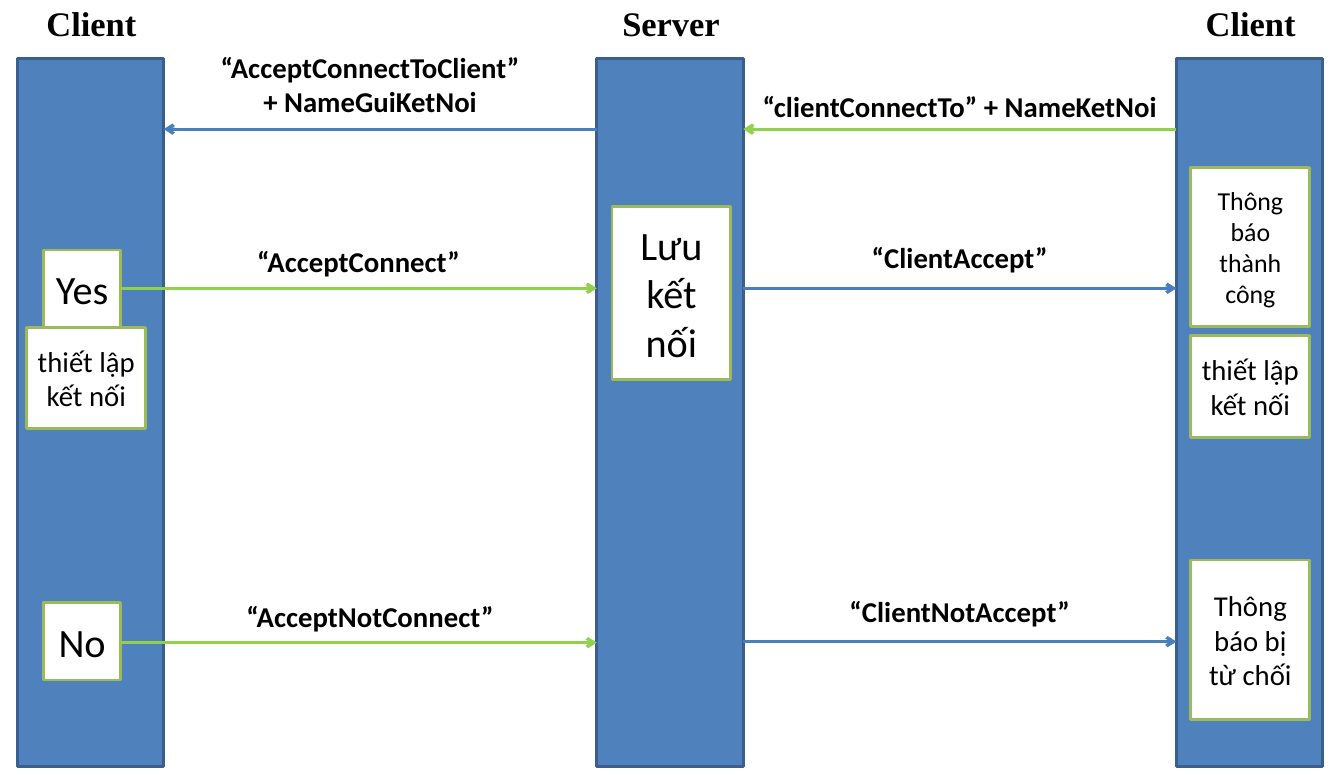
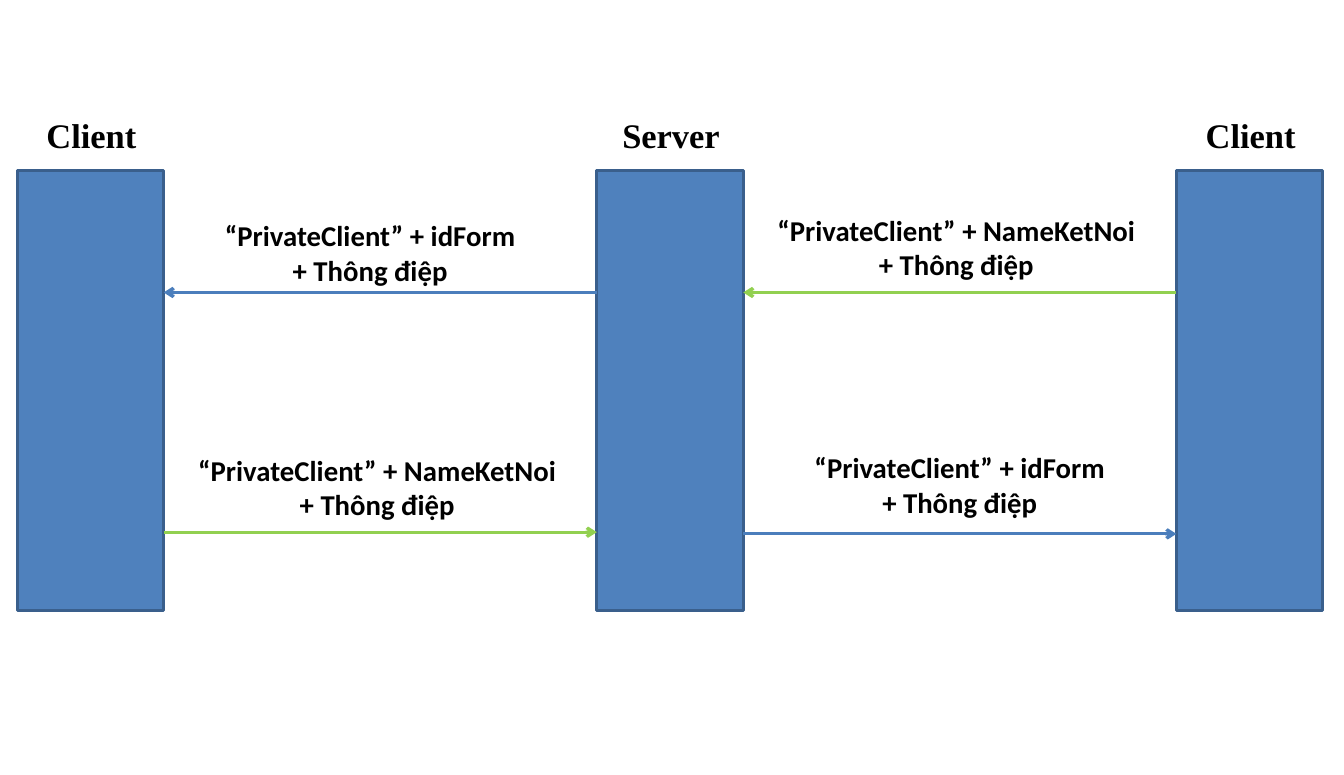
from dataclasses import dataclass

from lxml import etree
from pptx import Presentation
from pptx.dml.color import RGBColor
from pptx.enum import shapes, text
from pptx.oxml import ns
from pptx.util import Pt


@dataclass(frozen=True)
class Theme:
    lane: str = "4F81BD"
    lane_edge: str = "3A5F8C"
    note: str = "FFFFFF"
    note_edge: str = "9BBB59"
    request: str = "92D050"
    relay: str = "4B7EBC"
    ink: str = "000000"
    body_font: str = "Calibri"
    heading_font: str = "Times New Roman"
    heading: int = 24
    label: int = 20
    small: int = 18
    choice: int = 28
    edge: float = 2
    arrow: float = 2.25


THEME = Theme()
LANE_WIDTH = 102
LANE_LEFTS = [12 + 403.65 * lane for lane in range(3)]
LANE_RIGHTS = [left + LANE_WIDTH for left in LANE_LEFTS]
LEFT_CLIENT, SERVER, RIGHT_CLIENT = range(3)
LABEL_WIDTH = 227.5
NOTE_WIDTH = 82.8
CHOICE_SIZE = 54
CHOICE_LEFT = 30.2
LEFT_GAP = 257.8
RIGHT_GAP = 668.4


class SequenceDeck:
    def __init__(self, theme):
        self.theme = theme
        self.deck = Presentation()
        self.deck.slide_width, self.deck.slide_height = Pt(936), Pt(540)
        self.slide = None

    def new_slide(self, lane_top, lane_height):
        self.slide = self.deck.slides.add_slide(self.deck.slide_layouts[6])
        t = self.theme
        for heading, left in zip(("Client", "Server", "Client"), LANE_LEFTS):
            self.block(left, lane_top, LANE_WIDTH, lane_height, t.lane, t.lane_edge)
            self.caption([heading], left + LANE_WIDTH / 2 + 0.7, lane_top - 43.3,
                         LANE_WIDTH, 36, t.heading_font, t.heading)

    def block(self, left, top, width, height, fill, edge):
        shape = self.slide.shapes.add_shape(
            shapes.MSO_SHAPE.RECTANGLE, Pt(left), Pt(top), Pt(width), Pt(height))
        shape.shadow.inherit = False
        shape.fill.solid()
        shape.fill.fore_color.rgb = RGBColor.from_string(fill)
        shape.line.color.rgb = RGBColor.from_string(edge)
        shape.line.width = Pt(self.theme.edge)
        return shape

    def add_lines(self, frame, lines, font, size, bold):
        for index, line in enumerate(lines):
            paragraph = frame.add_paragraph() if index else frame.paragraphs[0]
            paragraph.alignment = text.PP_ALIGN.CENTER
            run = paragraph.add_run()
            run.text = line
            run.font.name = font
            run.font.size = Pt(size)
            run.font.bold = bold
            run.font.color.rgb = RGBColor.from_string(self.theme.ink)

    def note(self, wording, left, top, height, size, width=NOTE_WIDTH):
        t = self.theme
        frame = self.block(left, top, width, height, t.note, t.note_edge).text_frame
        frame.word_wrap = True
        frame.vertical_anchor = text.MSO_ANCHOR.MIDDLE
        self.add_lines(frame, [wording], t.body_font, size, False)

    def caption(self, lines, center, top, width, height, font, size, wrap=False):
        frame = self.slide.shapes.add_textbox(
            Pt(center - width / 2), Pt(top), Pt(width), Pt(height)).text_frame
        frame.word_wrap = wrap
        self.add_lines(frame, lines, font, size, True)

    def label(self, wording, center, top, height=31.5):
        self.caption([wording], center, top, LABEL_WIDTH, height,
                     self.theme.body_font, self.theme.label, wrap=True)

    def wide_label(self, lines, center, top, width):
        self.caption(lines, center, top, width, 31.5 if len(lines) == 1 else 55.5,
                     self.theme.body_font, self.theme.label)

    def arrow(self, start, end, y, color):
        line = self.slide.shapes.add_connector(
            shapes.MSO_CONNECTOR.STRAIGHT, Pt(start), Pt(y), Pt(end), Pt(y))
        line.line.color.rgb = RGBColor.from_string(color)
        line.line.width = Pt(self.theme.arrow)
        properties = line.element.find(ns.qn("p:spPr"))
        etree.SubElement(properties.find(ns.qn("a:ln")), ns.qn("a:tailEnd"), type="arrow")
        etree.SubElement(properties, ns.qn("a:effectLst"))

    def inbound(self, y):
        self.arrow(LANE_LEFTS[RIGHT_CLIENT], LANE_RIGHTS[SERVER], y, self.theme.request)
        self.arrow(LANE_LEFTS[SERVER], LANE_RIGHTS[LEFT_CLIENT], y, self.theme.relay)

    def reply(self, start, y, relay_y):
        self.arrow(start, LANE_LEFTS[SERVER], y, self.theme.request)
        self.arrow(LANE_RIGHTS[SERVER], LANE_LEFTS[RIGHT_CLIENT], relay_y, self.theme.relay)

    def connection_slide(self):
        t = self.theme
        self.new_slide(41, 493.2)
        self.inbound(90)
        self.wide_label(["“clientConnectTo” + NameKetNoi"], RIGHT_GAP, 58.3, 291.6)
        self.label("“AcceptConnectToClient” + NameGuiKetNoi", LEFT_GAP, 31, 55.5)

        for choice, top, y, relay_y in (("Yes", 174.2, 200.9, 200.9),
                                        ("No", 419.8, 447.8, 447.1)):
            self.note(choice, CHOICE_LEFT, top, CHOICE_SIZE, t.choice, CHOICE_SIZE)
            self.reply(CHOICE_LEFT + CHOICE_SIZE, y, relay_y)

        for reply, center, top in (("“AcceptConnect”", 249.8, 166.3),
                                   ("“AcceptNotConnect”", LEFT_GAP, 414),
                                   ("“ClientAccept”", RIGHT_GAP, 163.4),
                                   ("“ClientNotAccept”", RIGHT_GAP, 410.4)):
            self.label(reply, center, top)

        outcome_left = 829.4
        for wording, left, top, height, size in (
                ("Lưu kết nối", 426.2, 144, 120.2, t.choice),
                ("Thông báo thành công", outcome_left, 116.6, 111, t.small),
                ("thiết lập kết nối", 18.7, 228.2, 70.6, t.label),
                ("thiết lập kết nối", outcome_left, 234, 70.6, t.label),
                ("Thông báo bị từ chối", outcome_left, 390.2, 111, t.label)):
            self.note(wording, left, top, height, size)

    def message_slide(self):
        self.new_slide(118.9, 306.7)
        self.inbound(203.8)
        self.reply(LANE_RIGHTS[LEFT_CLIENT], 370.8, 372)
        for center, top in ((666, 144.7), (262.7, 311.8)):
            self.wide_label(["“PrivateClient” + NameKetNoi", "+ Thông điệp"],
                            center, top, 270.7)
        for center, top in ((LEFT_GAP, 148.3), (RIGHT_GAP, 309.9)):
            self.label("“PrivateClient” + idForm + Thông điệp", center, top, 55.5)


def main():
    sequence = SequenceDeck(THEME)
    sequence.connection_slide()
    sequence.message_slide()
    sequence.deck.save("out.pptx")


if __name__ == "__main__":
    main()
